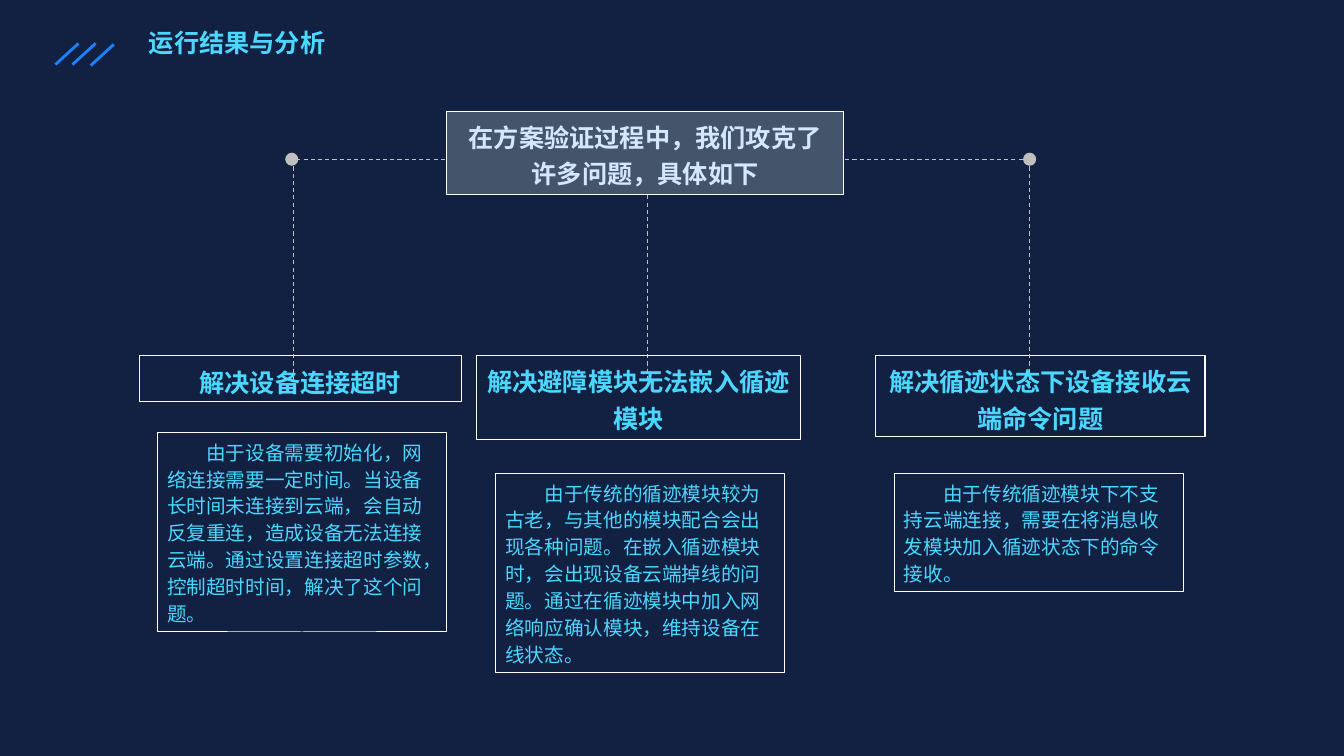
from dataclasses import dataclass

from lxml.etree import SubElement
from pptx import Presentation
from pptx.dml.color import RGBColor
from pptx.enum.dml import MSO_LINE
from pptx.enum.lang import MSO_LANGUAGE_ID
from pptx.enum.shapes import MSO_CONNECTOR, MSO_SHAPE
from pptx.enum.text import MSO_ANCHOR, MSO_AUTO_SIZE, PP_ALIGN
from pptx.oxml.ns import qn
from pptx.util import Pt


@dataclass(frozen=True)
class Theme:
    background: str = "122041"
    accent: str = "4BD7FF"
    stripe: str = "1B82FF"
    branch: str = "BFBFBF"
    border: str = "FFFFFF"
    panel: str = "44546A"
    panel_text: str = "D3E8FF"
    font: str = "Arial"
    heading_size: int = 18
    body_size: int = 14


THEME = Theme()
HEADING = {"size": Pt(THEME.heading_size), "bold": True}
BODY = {"size": Pt(THEME.body_size), "bold": False}
CENTERED = {"alignment": PP_ALIGN.CENTER, "line_spacing": 1.2}
INDENTED = {"alignment": PP_ALIGN.LEFT, "line_spacing": 1.14}
FIRST_LINE_INDENT = Pt(28)

STRIPES = [(39.6, 46.1), (51.8, 46.1), (64.8, 46.8)]
BRANCH_Y = 113.76
BRANCH_LENGTH = 162
BRANCH_XS = [209.52, 462.24, 735.12]
DOT_SIZE = 9.36
DOT_LEFTS = [203.76, 730.8]
HEADING_TOP = 254.16

# heading, heading (left, width, height), detail, detail (left, top, width, height)
PROBLEMS = [
    ("解决设备连接超时", (99.36, 230.4, 32.4),
     "由于设备需要初始化，网络连接需要一定时间。当设备长时间未连接到云端，会自动反复重连，"
     "造成设备无法连接云端。通过设置连接超时参数，控制超时时间，解决了这个问题。",
     (112.32, 308.88, 206.64, 142.56)),
    ("解决避障模块无法嵌入循迹模块", (340.56, 231.12, 59.76),
     "由于传统的循迹模块较为古老，与其他的模块配合会出现各种问题。在嵌入循迹模块时，"
     "会出现设备云端掉线的问题。通过在循迹模块中加入网络响应确认模块，维持设备在线状态。",
     (353.88, 338.04, 206.64, 142.56)),
    ("解决循迹状态下设备接收云端命令问题", (625.32, 235.44, 57.6),
     "由于传统循迹模块下不支持云端连接，需要在将消息收发模块加入循迹状态下的命令接收。",
     (638.64, 338.04, 206.64, 84.24)),
]


def color(name):
    return RGBColor.from_string(name)


def apply(target, values):
    for name, value in values.items():
        setattr(target, name, value)


def add_line(slide, start, end, line_color, width, dash=None):
    points = [Pt(value) for value in (*start, *end)]
    line = slide.shapes.add_connector(MSO_CONNECTOR.STRAIGHT, *points)
    line.line.color.rgb = color(line_color)
    apply(line.line, {"width": Pt(width), "dash_style": dash})
    SubElement(line._element.spPr, qn("a:effectLst"))


def add_dot(slide, left):
    dot = slide.shapes.add_shape(
        MSO_SHAPE.OVAL, Pt(left), Pt(BRANCH_Y - DOT_SIZE / 2), Pt(DOT_SIZE), Pt(DOT_SIZE))
    dot.shadow.inherit = False
    dot.fill.solid()
    dot.fill.fore_color.rgb = color(THEME.branch)
    dot.line.fill.background()


def write(box, text, font_format, text_color, para_format, indent=0):
    frame = box.text_frame
    apply(frame, {"word_wrap": True, "vertical_anchor": MSO_ANCHOR.TOP,
                  "auto_size": MSO_AUTO_SIZE.SHAPE_TO_FIT_TEXT})
    para = frame.paragraphs[0]
    apply(para, para_format)
    if indent:
        para._p.get_or_add_pPr().set("indent", str(indent))
    span = para.add_run()
    span.text = text
    apply(span.font, {"name": THEME.font, **font_format,
                      "language_id": MSO_LANGUAGE_ID.SIMPLIFIED_CHINESE})
    span.font.color.rgb = color(text_color)


def add_framed_box(slide, place, fill=None):
    box = slide.shapes.add_shape(MSO_SHAPE.RECTANGLE, *map(Pt, place))
    box.shadow.inherit = False
    if fill:
        box.fill.solid()
        box.fill.fore_color.rgb = color(fill)
    else:
        box.fill.background()
    box.line.color.rgb = color(THEME.border)
    box.line.width = Pt(0.75)
    return box


def add_title(slide):
    for left, bottom in STRIPES:
        add_line(slide, (left, bottom), (left + 16.5, bottom - 15.1), THEME.stripe, 2)
    title = slide.shapes.add_textbox(Pt(99.36), Pt(15.84), Pt(268.56), Pt(28.8))
    write(title, "运行结果与分析", HEADING, THEME.accent, {"alignment": PP_ALIGN.LEFT})


def add_branches(slide):
    branch = {"line_color": THEME.branch, "width": 0.75, "dash": MSO_LINE.DASH}
    for x in BRANCH_XS:
        add_line(slide, (x, BRANCH_Y), (x, BRANCH_Y + BRANCH_LENGTH), **branch)
    add_line(slide, (211.68, BRANCH_Y), (730.8, BRANCH_Y), **branch)
    for left in DOT_LEFTS:
        add_dot(slide, left)


def add_problem(slide, heading, heading_place, detail, detail_place):
    left, width, height = heading_place
    detail_box = add_framed_box(slide, detail_place)
    write(detail_box, detail, BODY, THEME.accent, INDENTED, FIRST_LINE_INDENT)
    heading_box = add_framed_box(slide, (left, HEADING_TOP, width, height))
    write(heading_box, heading, HEADING, THEME.accent, CENTERED)


def main():
    deck = Presentation()
    apply(deck, {"slide_width": Pt(960), "slide_height": Pt(540)})
    slide = deck.slides.add_slide(deck.slide_layouts[6])
    slide.background.fill.solid()
    slide.background.fill.fore_color.rgb = color(THEME.background)

    add_title(slide)
    add_branches(slide)
    for problem in PROBLEMS:
        add_problem(slide, *problem)
    summary = add_framed_box(slide, (318.96, 79.56, 283.68, 59.76), THEME.panel)
    write(summary, "在方案验证过程中，我们攻克了许多问题，具体如下",
          HEADING, THEME.panel_text, CENTERED)
    deck.save("out.pptx")


if __name__ == "__main__":
    main()
